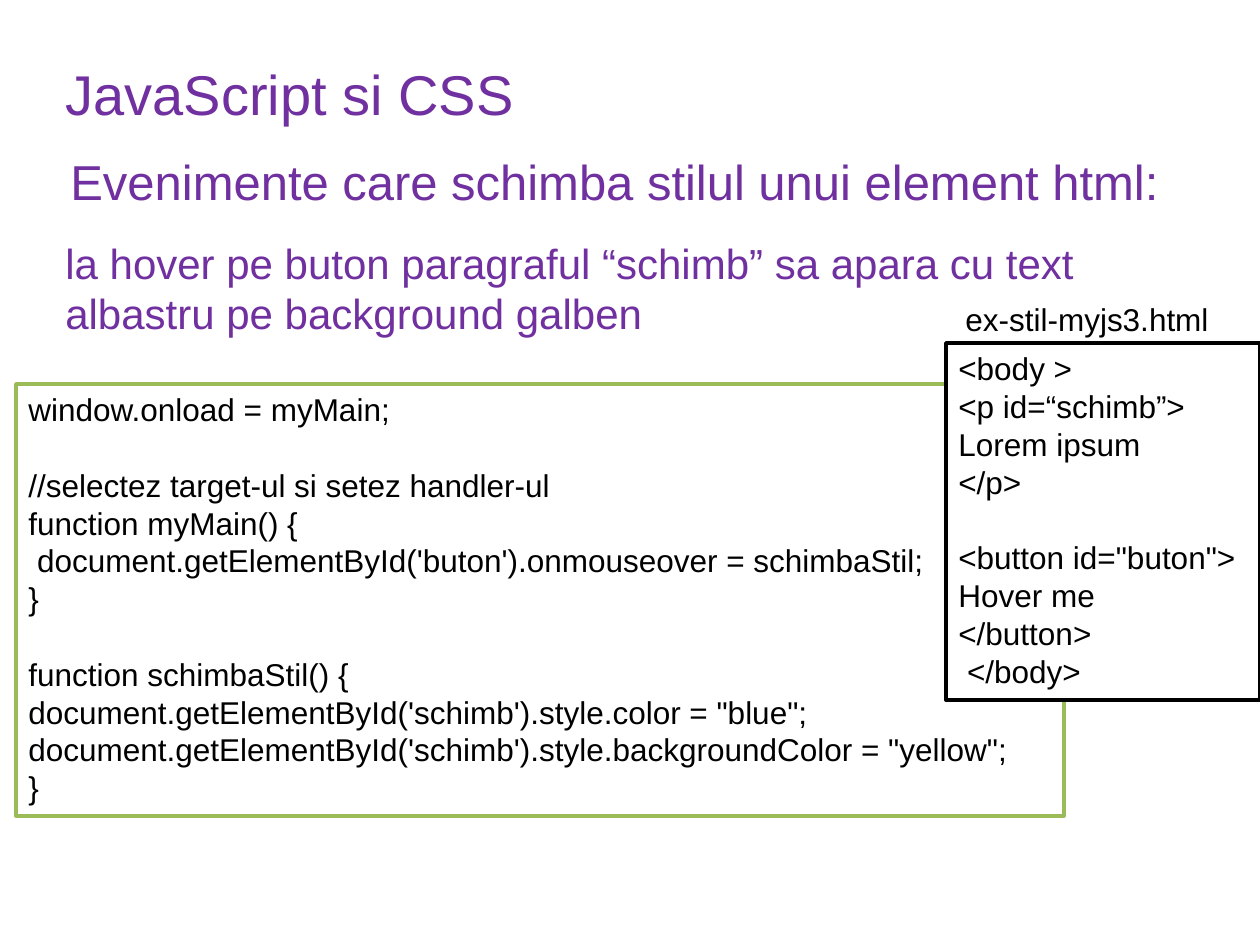
from pptx import Presentation
from pptx.dml.color import RGBColor
from pptx.enum.shapes import MSO_SHAPE
from pptx.enum.text import MSO_ANCHOR, PP_ALIGN
from pptx.util import Pt

PX = 914400 // 126
PURPLE, GREEN, BLACK, WHITE = "7030A0", "9BBB59", "000000", "FFFFFF"
GAP = 21.6

SCRIPT = [
    ["window.onload = myMain;"],
    ["//selectez target-ul si setez handler-ul",
     "function myMain() {",
     " document.getElementById('buton').onmouseover = schimbaStil;",
     "}"],
    ["function schimbaStil() {",
     "document.getElementById('schimb').style.color = \"blue\";",
     "document.getElementById('schimb').style.backgroundColor = \"yellow\";",
     "}"],
]
MARKUP = [
    ["<body >", "<p id=“schimb”>", "Lorem ipsum", "</p>"],
    ["<button id=\"buton\">", "Hover me", "</button>", " </body>"],
]


def color(code):
    """Turn a hex string into a colour."""
    return RGBColor.from_string(code)


def place(box):
    """Turn a box in px into EMU lengths."""
    return [n * PX for n in box]


def write(shape, blocks, size, tint, wrap=False):
    """Write blocks of lines, with one line of space between blocks."""
    frame = shape.text_frame
    frame.word_wrap = wrap
    frame.vertical_anchor = MSO_ANCHOR.TOP
    para = None
    for block in blocks:
        for row, line in enumerate(block):
            first = para is None
            para = frame.paragraphs[0] if first else frame.add_paragraph()
            para.alignment = PP_ALIGN.LEFT
            if row == 0 and not first:
                para.space_before = Pt(GAP)
            run = para.add_run()
            run.text = line
            run.font.name = "Arial"
            run.font.size = Pt(size)
            run.font.color.rgb = color(tint)


def add_title(slide, text, box):
    """Fill and move the title placeholder."""
    title = slide.shapes.title
    title.left, title.top, title.width, title.height = place(box)
    write(title, [[text]], 32, PURPLE)


def add_text(slide, text, box, size, tint, wrap=False):
    """Add a text box with one paragraph."""
    label = slide.shapes.add_textbox(*place(box))
    write(label, [[text]], size, tint, wrap)


def add_code(slide, blocks, box, edge):
    """Add a white framed panel of code."""
    panel = slide.shapes.add_shape(MSO_SHAPE.RECTANGLE, *place(box))
    panel.shadow.inherit = False
    panel.fill.solid()
    panel.fill.fore_color.rgb = color(WHITE)
    panel.line.color.rgb = color(edge)
    panel.line.width = Pt(2)
    write(panel, blocks, 18, BLACK)


def main():
    """Build the slide and save it."""
    deck = Presentation()
    deck.slide_width, deck.slide_height = place((1260, 945))
    slide = deck.slides.add_slide(deck.slide_layouts[5])
    add_title(slide, "JavaScript si CSS", (53, 53, 478, 149))
    add_text(slide, "ex-stil-myjs3.html", (953, 294, 271, 50), 18, BLACK)
    add_text(slide, "Evenimente care schimba stilul unui element html:",
             (58, 145, 1128, 72), 28, PURPLE)
    add_text(slide, "la hover pe buton paragraful “schimb” sa apara cu text "
             "albastru pe background galben",
             (53, 231, 1164, 115), 24, PURPLE, True)
    add_code(slide, SCRIPT, (16, 384, 1048, 432), GREEN)
    add_code(slide, MARKUP, (946, 343, 314, 357), BLACK)
    deck.save("out.pptx")


if __name__ == "__main__":
    main()
